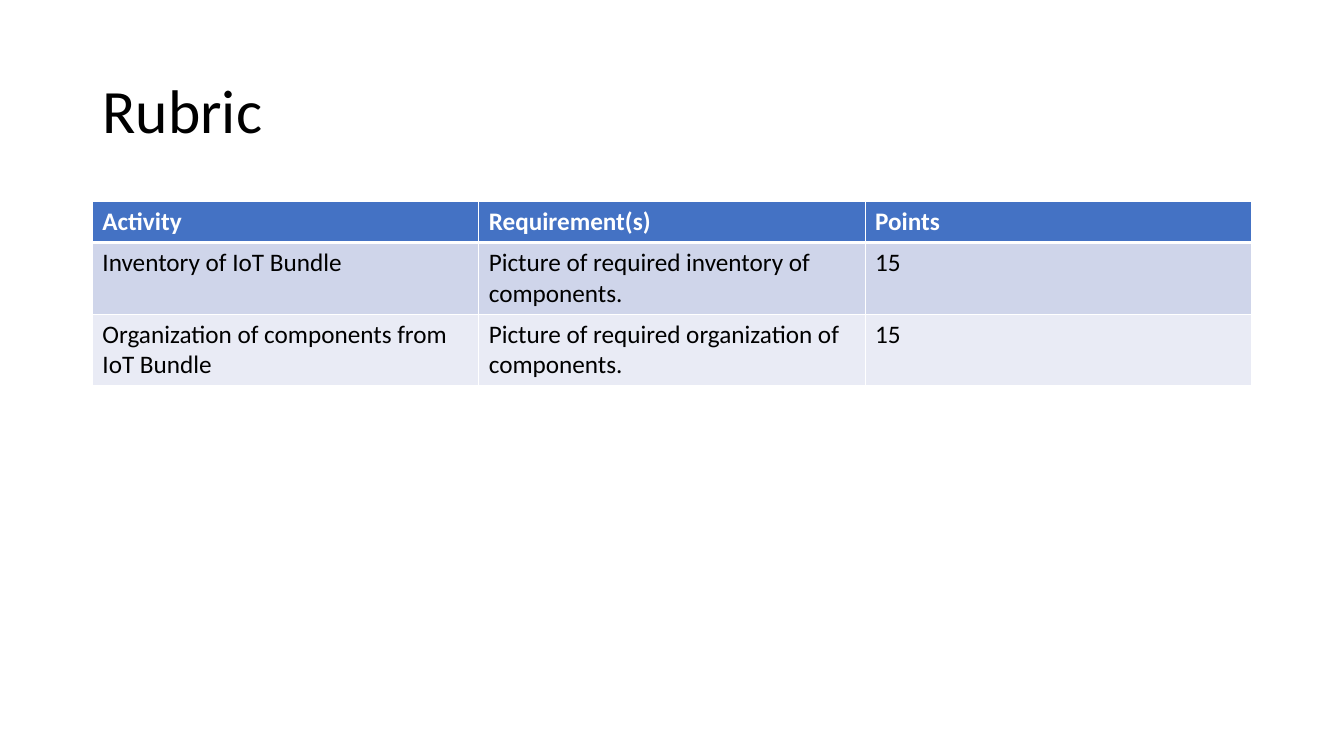
from lxml import etree
from pptx import Presentation
from pptx.dml.color import RGBColor
from pptx.enum import text as t
from pptx.oxml import ns
from pptx.util import Pt

TITLE = "Rubric"
ROWS = [
    ("Activity", "Requirement(s)", "Points"),
    ("Inventory of IoT Bundle", "Picture of required inventory of components.", "15"),
    ("Organization of components from IoT Bundle",
     "Picture of required organization of components.", "15"),
]
FILLS = ["4472C4", "CFD5EA", "E9EBF5"]
HEIGHTS = [29.2, 50.4, 50.4]
LEFT, WIDTH = 66, 828
WHITE, BLACK = "FFFFFF", "000000"


def paint(target, color):
    """Give a fill or font the hex color."""
    if hasattr(target, "solid"):
        target.solid()
        target.fore_color.rgb = RGBColor.from_string(color)
    else:
        target.color.rgb = RGBColor.from_string(color)


def write(frame, words, size=18, color=BLACK, bold=False, spacing=1.0):
    para = frame.paragraphs[0]
    para.alignment = t.PP_ALIGN.LEFT
    para.line_spacing = spacing
    run = para.add_run()
    run.text = words
    run.font.name = "Calibri"
    run.font.size = Pt(size)
    run.font.bold = bold
    paint(run.font, color)


def edge(cell, side, width):
    """Draw a white border on one side of the cell: L, R, T or B."""
    props = cell._tc.get_or_add_tcPr()
    line = etree.SubElement(props, ns.qn("a:ln" + side), w=str(Pt(width)))
    fill = etree.SubElement(line, ns.qn("a:solidFill"))
    etree.SubElement(fill, ns.qn("a:srgbClr"), val=WHITE)


deck = Presentation()
deck.slide_width, deck.slide_height = Pt(960), Pt(540)
slide = deck.slides.add_slide(deck.slide_layouts[5])

title = slide.shapes.title
title.left, title.top, title.width, title.height = Pt(LEFT), Pt(28.8), Pt(WIDTH), Pt(104.4)
title.text_frame.vertical_anchor = t.MSO_ANCHOR.MIDDLE
title.text_frame.auto_size = t.MSO_AUTO_SIZE.NONE
write(title.text_frame, TITLE, size=44, spacing=0.9)

grid = slide.shapes.add_table(len(ROWS), len(ROWS[0]), Pt(LEFT), Pt(144),
                              Pt(WIDTH), Pt(sum(HEIGHTS))).table
for r, row in enumerate(ROWS):
    grid.rows[r].height = Pt(HEIGHTS[r])
    head = r == 0
    for c, words in enumerate(row):
        cell = grid.cell(r, c)
        write(cell.text_frame, words, color=WHITE if head else BLACK, bold=head)
        for side in "LRTB":
            thick = (head and side == "B") or (r == 1 and side == "T")
            edge(cell, side, 3 if thick else 1)
        paint(cell.fill, FILLS[r])

deck.save("out.pptx")
